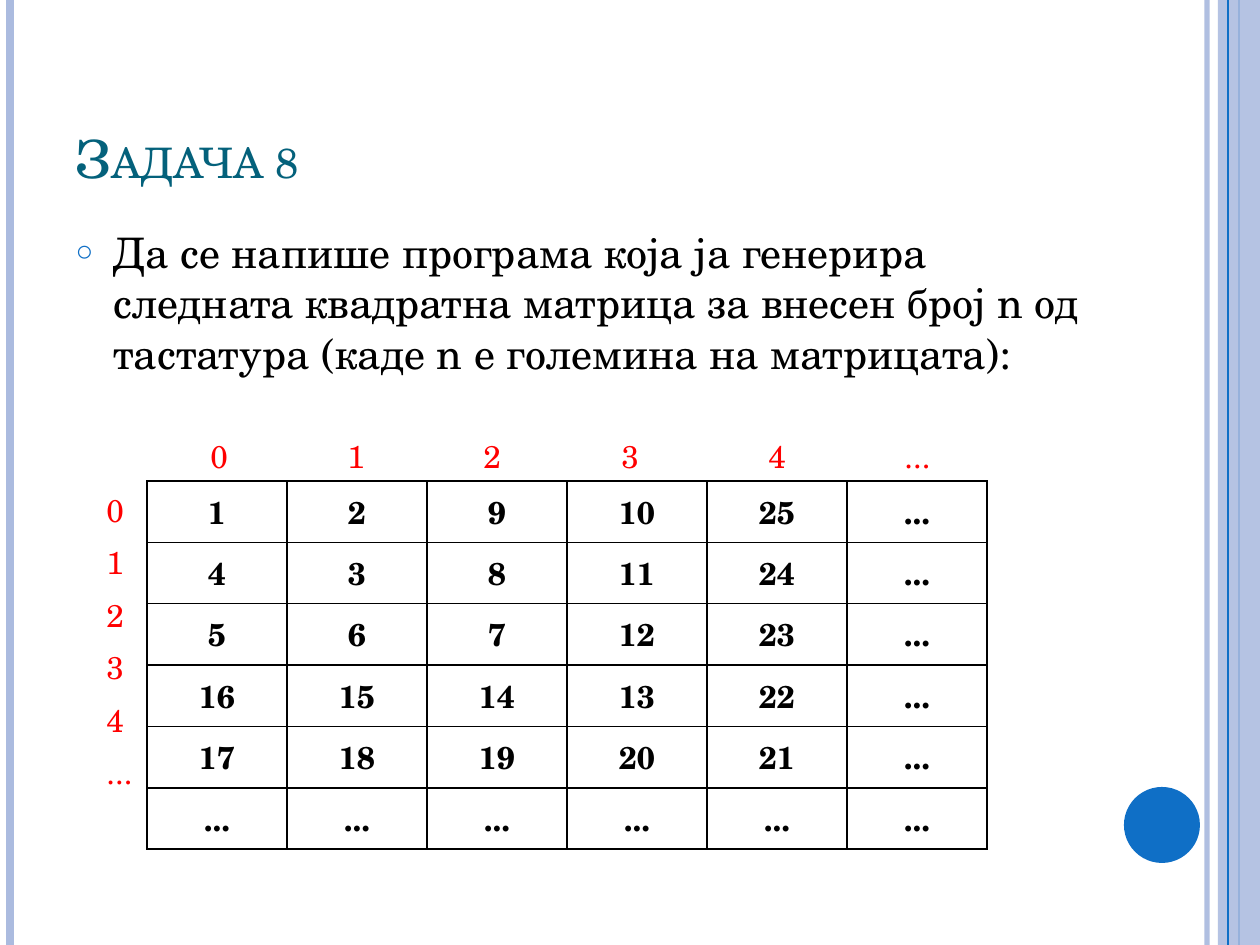
import pptx
import pptx.util
import pptx.dml.color
import pptx.enum.shapes
import pptx.enum.text
import pptx.oxml
import pptx.oxml.ns

PX = 914400 / 126
FONT = "TeX Gyre Schola"
BLACK = pptx.dml.color.RGBColor(0x00, 0x00, 0x00)
RED = pptx.dml.color.RGBColor(0xFF, 0x00, 0x00)
TEAL = pptx.dml.color.RGBColor(0x04, 0x61, 0x7B)
BLUE = pptx.dml.color.RGBColor(0x0F, 0x6F, 0xC6)
LAVENDER = pptx.dml.color.RGBColor(0xAB, 0xBB, 0xDF)
PAGE_WIDTH, PAGE_HEIGHT = 1260, 945
SIZE = 6
DOTS = "..."
LEFT = pptx.enum.text.PP_ALIGN.LEFT
CENTER = pptx.enum.text.PP_ALIGN.CENTER


def px(length):
    return pptx.util.Emu(round(length * PX))


def place(shape, left, top, width, height):
    shape.left, shape.top = px(left), px(top)
    shape.width, shape.height = px(width), px(height)


def add_xml(parent, tag, **attributes):
    child = pptx.oxml.parse_xml(f"<a:{tag} {pptx.oxml.ns.nsdecls('a')}/>")
    for name, value in attributes.items():
        child.set(name, str(value))
    parent.append(child)
    return child


def write_text(frame, text, size=18, color=BLACK, bold=False, align=LEFT, small_caps=False):
    para = frame.paragraphs[0]
    para.alignment = align
    span = para.add_run()
    span.text = text
    span.font.name = FONT
    span.font.size = pptx.util.Pt(size)
    span.font.bold = bold
    span.font.color.rgb = color
    if small_caps:
        span.font._element.set("cap", "small")
    return para


def set_opacity(shape, percent):
    """Apply the opacity to every colour in the shape's own format."""
    for color in shape._element.spPr.iter(pptx.oxml.ns.qn("a:srgbClr")):
        add_xml(color, "alpha", val=percent * 1000)


def add_vertical_line(page, x, color, weight, opacity=100):
    line = page.shapes.add_connector(
        pptx.enum.shapes.MSO_CONNECTOR.STRAIGHT, px(x), px(0), px(x), px(PAGE_HEIGHT))
    line.line.color.rgb = color
    line.line.width = pptx.util.Pt(weight)
    add_xml(line._element.spPr, "effectLst")
    if opacity < 100:
        set_opacity(line, opacity)


def add_filled_shape(page, kind, box, color):
    shape = page.shapes.add_shape(kind, *map(px, box))
    shape.shadow.inherit = False
    shape.fill.solid()
    shape.fill.fore_color.rgb = color
    shape.line.fill.background()
    return shape


def add_decoration(page):
    kinds = pptx.enum.shapes.MSO_SHAPE
    add_vertical_line(page, 1207, LAVENDER, 3, opacity=93)
    add_vertical_line(page, 10, LAVENDER, 4.5)
    add_vertical_line(page, 1239, BLUE, 1.5)
    band = add_filled_shape(page, kinds.RECTANGLE, (1218, 0, 42, PAGE_HEIGHT), LAVENDER)
    set_opacity(band, 87)
    add_vertical_line(page, 1228, BLUE, 0.75)
    add_filled_shape(page, kinds.OVAL, (1124, 787, 76, 76), BLUE)


def fill_title(title, box, text):
    place(title, *box)
    title.text_frame.auto_size = pptx.enum.text.MSO_AUTO_SIZE.NONE
    title.text_frame.vertical_anchor = pptx.enum.text.MSO_ANCHOR.BOTTOM
    write_text(title.text_frame, text, size=30, color=TEAL, small_caps=True)


def fill_body(body, box, text):
    place(body, *box)
    body.text_frame.auto_size = pptx.enum.text.MSO_AUTO_SIZE.NONE
    para = write_text(body.text_frame, text, size=24)
    para.space_before = pptx.util.Pt(6)
    properties = para._p.get_or_add_pPr()
    properties.set("marL", str(px(38)))
    properties.set("indent", str(px(-38)))
    add_xml(add_xml(properties, "buClr"), "srgbClr", val=BLUE)
    add_xml(properties, "buSzPct", val=70000)
    add_xml(properties, "buChar", char="○")


def matrix_value(row, column):
    """Number on a path that turns back along each square shell."""
    if SIZE - 1 in (row, column):
        return DOTS
    shell = max(row, column)
    direction = 1 if shell % 2 else -1
    return str(shell * shell + shell + 1 + direction * (row - column))


def add_borders(cell):
    properties = cell._tc.get_or_add_tcPr()
    for side in ("lnL", "lnR", "lnT", "lnB"):
        border = add_xml(properties, side, w=pptx.util.Pt(1))
        add_xml(add_xml(border, "solidFill"), "srgbClr", val=BLACK)


def add_matrix(page, box):
    width, height = box[2:]
    table = page.shapes.add_table(SIZE, SIZE, *map(px, box)).table
    table.first_row = table.horz_banding = False
    for index in range(SIZE):
        table.columns[index].width = px(width // SIZE)
        table.rows[index].height = px(height // SIZE)
    for row in range(SIZE):
        for column in range(SIZE):
            cell = table.cell(row, column)
            write_text(cell.text_frame, matrix_value(row, column), bold=True, align=CENTER)
            add_borders(cell)
            cell.fill.background()


def add_index_label(page, left, top, text):
    width = 56 if text == DOTS else 43
    label = page.shapes.add_textbox(px(left), px(top), px(width), px(50))
    label.text_frame.word_wrap = False
    label.text_frame.auto_size = pptx.enum.text.MSO_AUTO_SIZE.SHAPE_TO_FIT_TEXT
    write_text(label.text_frame, text, color=RED)


def add_indices(page, left, top):
    """Number the columns above and the rows beside the matrix corner."""
    names = [str(index) for index in range(SIZE - 1)] + [DOTS]
    for name, offset in zip(names, (51, 188, 324, 462, 609, 745)):
        add_index_label(page, left + offset, top - 50, name)
    for index, name in enumerate(names):
        add_index_label(page, left - 53, top + 4 + round(52.4 * index), name)


def main():
    deck = pptx.Presentation()
    deck.slide_width, deck.slide_height = px(PAGE_WIDTH), px(PAGE_HEIGHT)
    page = deck.slides.add_slide(deck.slide_layouts[1])
    add_decoration(page)
    fill_title(page.shapes.title, (63, 38, 1029, 157), "Задача 8")
    fill_body(page.placeholders[1], (63, 220, 1029, 672),
              "Да се напише програма која ја генерира следната квадратна матрица "
              "за внесен број n од тастатура (каде n е големина на матрицата):")
    add_matrix(page, (147, 481, 840, 306))
    add_indices(page, 147, 481)
    deck.save("out.pptx")


if __name__ == "__main__":
    main()
